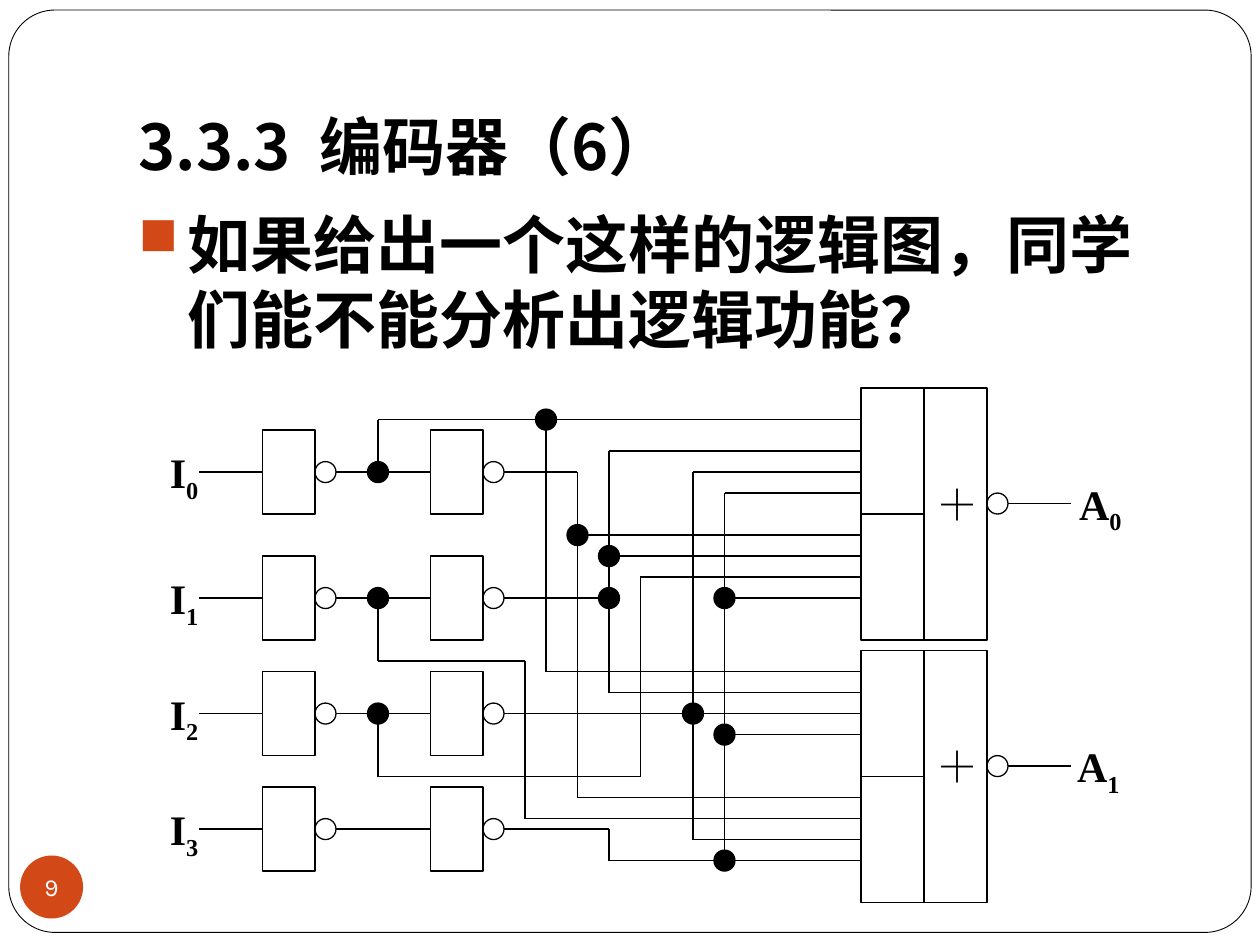
from lxml.etree import SubElement
from pptx import Presentation
from pptx.dml.color import RGBColor
from pptx.enum.shapes import MSO_CONNECTOR, MSO_SHAPE
from pptx.enum.text import MSO_ANCHOR, MSO_AUTO_SIZE, PP_ALIGN
from pptx.oxml.ns import qn
from pptx.util import Inches, Pt

COLORS = {"ink": "000000", "paper": "FFFFFF", "accent": "D34817"}
CJK, SERIF, SANS = "Noto Sans CJK JP", "Times New Roman", "Karla"

INPUT_ROWS = [8, 20, 31, 42]
TAP_X = 21
GATE_X = 67
WIRES = [
    [(TAP_X, 8), (TAP_X, 3), (GATE_X, 3)],
    [(37, 3), (37, 27), (GATE_X, 27)],
    [(33, 8), (40, 8), (40, 39), (GATE_X, 39)],
    [(40, 14), (GATE_X, 14)],
    [(33, 20), (43, 20)],
    [(GATE_X, 6), (43, 6), (43, 29), (GATE_X, 29)],
    [(43, 16), (GATE_X, 16)],
    [(33, 31), (GATE_X, 31)],
    [(GATE_X, 8), (51, 8), (51, 43), (GATE_X, 43)],
    [(33, 42), (43, 42), (43, 45), (GATE_X, 45)],
    [(54, 45), (54, 10), (GATE_X, 10)],
    [(54, 20), (GATE_X, 20)],
    [(54, 33), (GATE_X, 33)],
    [(TAP_X, 20), (TAP_X, 26), (35, 26), (35, 41), (GATE_X, 41)],
    [(TAP_X, 31), (TAP_X, 37), (46, 37), (46, 18), (GATE_X, 18)],
]
JUNCTIONS = [(TAP_X, 8), (TAP_X, 20), (TAP_X, 31), (37, 3), (40, 14), (43, 16),
             (43, 20), (51, 31), (54, 20), (54, 33), (54, 45)]


def rgb(name):
    return RGBColor.from_string(COLORS[name])


def write(shape, text, size, font, color="ink", bold=False, subscript="",
          align=PP_ALIGN.LEFT, anchor=MSO_ANCHOR.TOP, wrap=True):
    frame = shape.text_frame
    frame.auto_size = MSO_AUTO_SIZE.NONE
    frame.word_wrap = wrap
    frame.vertical_anchor = anchor
    paragraph = frame.paragraphs[0]
    paragraph.alignment = align
    for content in filter(None, (text, subscript)):
        run = paragraph.add_run()
        run.text = content
        run.font.size = Pt(size)
        run.font.name = font
        run.font.bold = bold
        run.font.color.rgb = rgb(color)
        properties = run._r.get_or_add_rPr()
        SubElement(properties, qn("a:ea")).set("typeface", font)
    if subscript:
        properties.set("baseline", "-25000")
    return paragraph


def add_outline(slide, kind, box, fill=None, line="ink", width=0.75):
    shape = slide.shapes.add_shape(kind, *box)
    shape.shadow.inherit = False
    if fill:
        shape.fill.solid()
        shape.fill.fore_color.rgb = rgb(fill)
    else:
        shape.fill.background()
    if line:
        shape.line.color.rgb = rgb(line)
        shape.line.width = Pt(width)
    else:
        shape.line.fill.background()
    return shape


class Circuit:
    def __init__(self, slide, left, top):
        self.slide, self.left, self.top = slide, left, top

    def box(self, x, y, width, height):
        return (self.left + Inches(x / 12), self.top + Inches(y / 12),
                Inches(width / 12), Inches(height / 12))

    def block(self, x, y, width, height):
        return add_outline(self.slide, MSO_SHAPE.RECTANGLE, self.box(x, y, width, height))

    def circle(self, x, y, fill=None):
        add_outline(self.slide, MSO_SHAPE.OVAL, self.box(x - 1, y - 1, 2, 2), fill)

    def wire(self, start, end, target=None):
        connector = self.slide.shapes.add_connector(
            MSO_CONNECTOR.STRAIGHT, *self.box(*start, 0, 0)[:2], *self.box(*end, 0, 0)[:2])
        connector.line.color.rgb = rgb("ink")
        connector.line.width = Pt(0.75)
        SubElement(connector._element.spPr, qn("a:effectLst"))
        if target is not None:
            connector.end_connect(target, 1)

    def label(self, x, y, text, **style):
        textbox = self.slide.shapes.add_textbox(*self.box(x, y, 6, 6))
        write(textbox, text, 24, SERIF, **style)


def add_input_row(circuit, index, y):
    for start, gate_x in ((4, 10), (17, 26)):
        gate = circuit.block(gate_x, y - 4, 5, 8)
        circuit.circle(gate_x + 6, y)
        circuit.wire((start, y), (gate_x, y), gate)
    circuit.label(0, y - 3, "I", subscript=str(index), bold=True)


def add_output_gate(circuit, index, y, label_x):
    for offset in (0, 12):
        circuit.block(GATE_X, y + offset, 6, 12)
    circuit.block(GATE_X + 6, y, 6, 24)
    circuit.label(GATE_X + 6, y + 8, "＋")
    circuit.circle(GATE_X + 13, y + 11)
    circuit.wire((GATE_X + 14, y + 11), (GATE_X + 20, y + 11))
    circuit.label(label_x, y + 8, "A", subscript=str(index), bold=True, wrap=False)


def add_circuit(slide, left, top):
    circuit = Circuit(slide, left, top)
    for index, y in enumerate(INPUT_ROWS):
        add_input_row(circuit, index, y)
    for points in WIRES:
        for start, end in zip(points, points[1:]):
            circuit.wire(start, end)
    for x, y in JUNCTIONS:
        circuit.circle(x, y, "ink")
    for index, (y, label_x) in enumerate([(0, 86.6), (25, 86.4)]):
        add_output_gate(circuit, index, y, label_x)


def add_frame(slide, box):
    frame = add_outline(slide, MSO_SHAPE.ROUNDED_RECTANGLE, box, "paper", width=0.5)
    frame.adjustments[0] = 0.05
    tree = slide.shapes._spTree
    tree.remove(frame._element)
    tree.insert(2, frame._element)


def add_title(slide, box):
    title = slide.shapes.title
    title.left, title.top, title.width, title.height = box
    write(title, "3.3.3  编码器（6）", 36, CJK, bold=True, anchor=MSO_ANCHOR.BOTTOM)
    title.text_frame.margin_bottom = Inches(0.1)


def add_question(slide, box):
    textbox = slide.shapes.add_textbox(*box)
    paragraph = write(textbox, "如果给出一个这样的逻辑图，同学们能不能分析出逻辑功能？",
                      36, CJK, bold=True)
    paragraph.space_before = Pt(5.8)
    properties = paragraph._p.get_or_add_pPr()
    properties.set("marL", str(Inches(0.39)))
    properties.set("indent", str(-Inches(0.39)))
    bullet_color = SubElement(properties, qn("a:buClr"))
    SubElement(bullet_color, qn("a:srgbClr")).set("val", COLORS["accent"])
    SubElement(properties, qn("a:buSzPct")).set("val", "85000")
    SubElement(properties, qn("a:buChar")).set("char", "■")


def add_page_number(slide, box):
    badge = add_outline(slide, MSO_SHAPE.OVAL, box, "accent", line=None)
    write(badge, "9", 14, SANS, "paper", align=PP_ALIGN.CENTER,
          anchor=MSO_ANCHOR.MIDDLE, wrap=False)
    frame = badge.text_frame
    frame.margin_left = frame.margin_right = frame.margin_top = frame.margin_bottom = 0


def main():
    presentation = Presentation()
    presentation.slide_width, presentation.slide_height = Inches(10), Inches(7.5)
    slide = presentation.slides.add_slide(presentation.slide_layouts[5])
    add_frame(slide, (Inches(0.07), Inches(0.08), Inches(9.86), Inches(7.32)))
    add_title(slide, (Inches(1), Inches(0.3), Inches(8.5), Inches(1.25)))
    add_page_number(slide, (Inches(0.16), Inches(6.79), Inches(0.5), Inches(0.5)))
    add_question(slide, (Inches(1), Inches(1.58), Inches(8.5), Inches(5)))
    add_circuit(slide, Inches(1.25), Inches(3.08))
    presentation.save("out.pptx")


if __name__ == "__main__":
    main()
